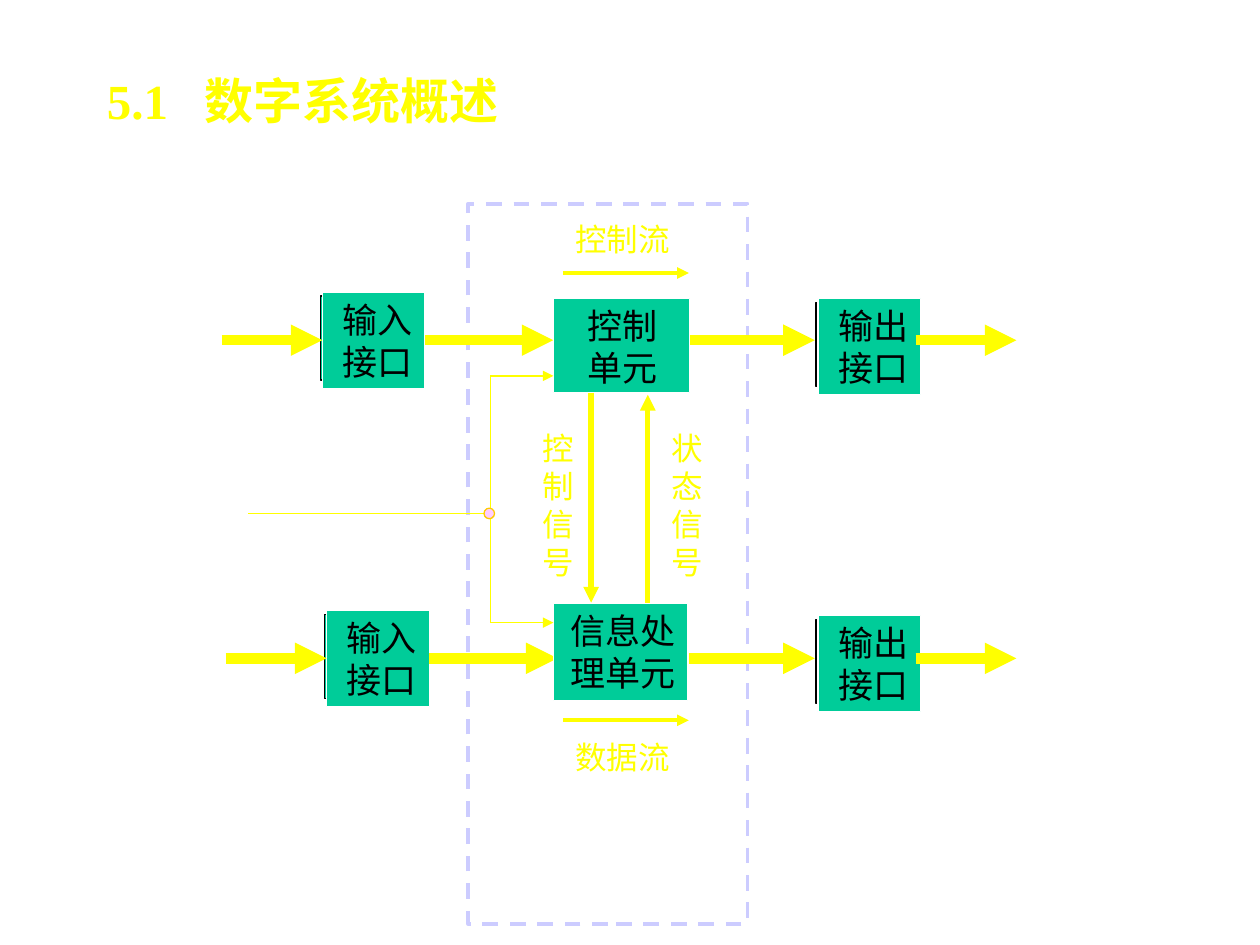
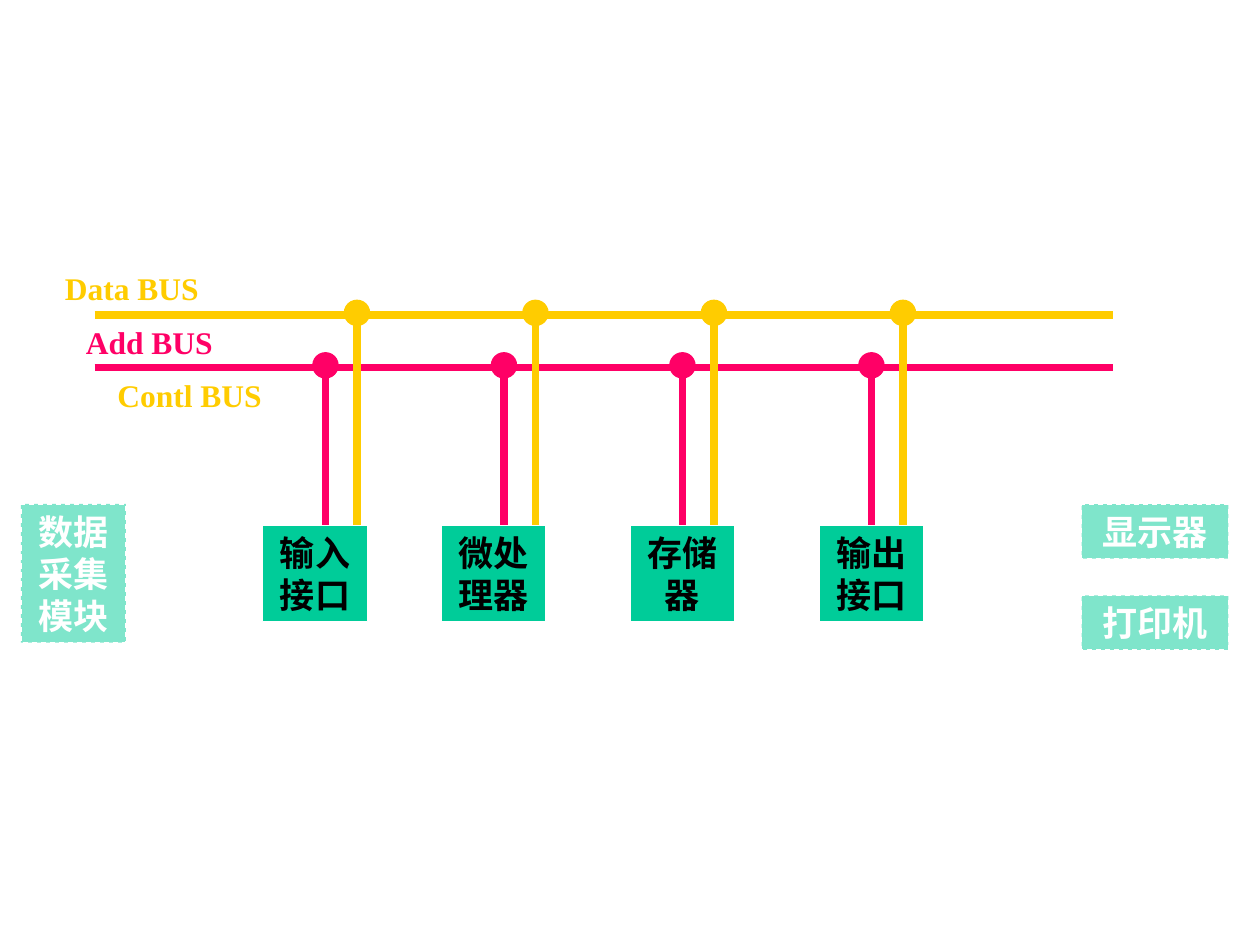
from lxml import etree
from pptx import Presentation
from pptx import util as u
from pptx.dml.color import RGBColor
from pptx.enum import dml, shapes, text
from pptx.oxml import ns

# Shared style
YELLOW = RGBColor(0xFF, 0xFF, 0x00)
GOLD = RGBColor(0xFF, 0xCC, 0x00)
GREEN = RGBColor(0x00, 0xCC, 0x99)
PINK = RGBColor(0xFF, 0x00, 0x66)
PALE_PINK = RGBColor(0xFF, 0xCC, 0xFF)
LAVENDER = RGBColor(0xCC, 0xCC, 0xFF)
BLACK = RGBColor(0x00, 0x00, 0x00)
WHITE = RGBColor(0xFF, 0xFF, 0xFF)
FONT = "Times New Roman"
LEFT, CENTER, RIGHT = text.PP_ALIGN.LEFT, text.PP_ALIGN.CENTER, text.PP_ALIGN.RIGHT
SIDE_LEFT, SIDE_RIGHT = 1, 3

# Grid: 120 columns by 90 rows of square cells
COLUMNS, ROWS = 120, 90
BLOCK_HEIGHT = 9.2
BLOCK_WIDTH = 10

TITLE = {"size": u.Pt(28), "bold": True}
BLOCK_FONT = {"size": u.Pt(20)}
BOLD_BLOCK = {"size": u.Pt(20), "bold": True}
LABEL = {"size": u.Pt(18)}
BOLD_LABEL = {"size": u.Pt(18), "bold": True}


class Deck:
    """Holds the presentation, its grid and the current slide."""

    def __init__(self):
        self.presentation = Presentation()
        self.presentation.slide_width = u.Inches(10)
        self.presentation.slide_height = u.Inches(7.5)
        self.slide = None

    def new_slide(self):
        self.slide = self.presentation.slides.add_slide(self.presentation.slide_layouts[6])

    def place(self, column, row):
        return (round(self.presentation.slide_width * column / COLUMNS),
                round(self.presentation.slide_height * row / ROWS))

    def set_words(self, shape, words, font, color, align=LEFT, anchor=text.MSO_ANCHOR.TOP, tab=None):
        frame = shape.text_frame
        frame.word_wrap = True
        frame.vertical_anchor = anchor
        frame.auto_size = text.MSO_AUTO_SIZE.SHAPE_TO_FIT_TEXT
        paragraph = frame.paragraphs[0]
        paragraph.text = words
        paragraph.alignment = align
        if tab:
            stops = etree.SubElement(paragraph._p.get_or_add_pPr(), ns.qn("a:tabLst"))
            etree.SubElement(stops, ns.qn("a:tab"), pos=str(self.place(tab, 0)[0]), algn="l")
        for name, value in {"name": FONT, **font}.items():
            setattr(paragraph.font, name, value)
        paragraph.font.color.rgb = color

    def label(self, left, top, width, height, words, font=LABEL, color=YELLOW, **options):
        shape = self.slide.shapes.add_textbox(*self.place(left, top), *self.place(width, height))
        self.set_words(shape, words, font, color, **options)

    def shape(self, kind, left, top, width, height, fill, outline, weight=0.75,
              dashed=False, opacity=None):
        shape = self.slide.shapes.add_shape(kind, *self.place(left, top), *self.place(width, height))
        shape.shadow.inherit = False
        if fill is None:
            shape.fill.background()
        else:
            shape.fill.solid()
            shape.fill.fore_color.rgb = fill
        if opacity:
            tint = shape._element.spPr.find(ns.qn("a:solidFill"))[0]
            etree.SubElement(tint, ns.qn("a:alpha"), val=str(opacity * 1000))
        shape.line.color.rgb = outline
        shape.line.width = u.Pt(weight)
        if dashed:
            shape.line.dash_style = dml.MSO_LINE.DASH
        return shape

    def block(self, left, top, width=BLOCK_WIDTH, height=BLOCK_HEIGHT, words="",
              font=BLOCK_FONT, color=BLACK, align=RIGHT, fill=GREEN, outline=WHITE, **options):
        shape = self.shape(shapes.MSO_SHAPE.RECTANGLE, left, top, width, height, fill, outline, **options)
        if words:
            self.set_words(shape, words, font, color, align)
        return shape

    def dot(self, column, row, size, fill, outline=None):
        self.shape(shapes.MSO_SHAPE.OVAL, column - size / 2, row - size / 2, size, size,
                   fill, outline or fill)

    def line(self, start, end, color=YELLOW, weight=4.5, arrow=False, source=None, target=None):
        connector = self.slide.shapes.add_connector(
            shapes.MSO_CONNECTOR.STRAIGHT, *self.place(*start), *self.place(*end))
        if source is not None:
            connector.begin_connect(source, SIDE_RIGHT)
        if target is not None:
            connector.end_connect(target, SIDE_LEFT)
        connector.line.color.rgb = color
        connector.line.width = u.Pt(weight)
        if arrow:
            outline = connector._element.spPr.find(ns.qn("a:ln"))
            etree.SubElement(outline, ns.qn("a:tailEnd"), type="triangle")
        etree.SubElement(connector._element.spPr, ns.qn("a:effectLst"))


def build_system_overview(deck):
    deck.new_slide()
    deck.label(9, 6.2, 68, 6.6, "5.1\t数字系统概述", TITLE,
               anchor=text.MSO_ANCHOR.MIDDLE, tab=9.3)

    def interface(left, top, words):
        deck.block(left - 0.2, top + 0.4, 9, 8, outline=BLACK)
        return deck.block(left, top, 9.8, words=words)

    # Frame around the two units
    deck.block(44.6, 19.4, 26.6, 68.6, fill=None, outline=LAVENDER, weight=2.25, dashed=True)

    # Interfaces and the wide arrows of each row
    for row, shift, output_top in ((32.4, 0, 28.4), (62.7, 0.4, 58.6)):
        source = interface(30.7 + shift, row - BLOCK_HEIGHT / 2, "输入接口")
        deck.line((21.1 + shift, row), (30.7 + shift, row), weight=6, arrow=True, target=source)
        deck.line((40.5 + shift, row), (52.7 + shift, row), weight=6, arrow=True, source=source)
        interface(77.9, output_top, "输出接口")
        for start, end in ((65.6, 77.6), (87.2, 96.8)):
            deck.line((start, row), (end, row), weight=6, arrow=True)

    # Control unit and processing unit
    deck.block(52.7, 28.4, 13, 9)
    deck.label(54.8, 28.4, BLOCK_WIDTH, BLOCK_HEIGHT, "控制单元", BLOCK_FONT, BLACK)
    deck.block(52.7, 57.5, 12.8, BLOCK_HEIGHT, "信息处理单元")

    # Signals between the units
    deck.line((56.3, 37.4), (56.3, 57.4), weight=3, arrow=True)
    deck.line((61.7, 57.4), (61.7, 37.6), weight=3, arrow=True)
    deck.label(50.5, 40.3, 5.5, 15.6, "控制信号")
    deck.label(62.8, 40.3, 4.8, 15.6, "状态信号")

    # Flow directions
    for words, label_top, arrow_row in (("控制流", 20.4, 26), ("数据流", 69.7, 68.6)):
        deck.label(53.6, label_top, 12, 4.8, words)
        deck.line((53.6, arrow_row), (65.6, arrow_row), weight=2.25, arrow=True)

    # Shared feed to both units
    feed, middle, ends = 46.7, 48.9, (35.8, 59.3)
    deck.line((23.6, middle), (feed, middle), weight=0.75)
    deck.line((feed, ends[0]), (feed, ends[1]), weight=0.75)
    for row in ends:
        deck.line((feed, row), (52.7, row), weight=0.75, arrow=True)
    deck.dot(46.6, middle, 1, PALE_PINK, GOLD)


def build_bus_structure(deck):
    deck.new_slide()
    buses = ((30, GOLD), (35, PINK), (40, WHITE))
    for row, color in buses:
        deck.line((9, row), (106, row), color)
    for left, top, width, words, color in ((5, 25, 21, "Data BUS", GOLD),
                                           (7, 30.2, 17, "Add BUS", PINK),
                                           (10, 35.2, 21, "Contl BUS", GOLD)):
        deck.label(left, top, width, 4.8, words, BOLD_LABEL, color)

    # Modules on the bus
    module_top = 50
    modules = [deck.block(left, module_top, words=words, font=BOLD_BLOCK, align=CENTER)
               for left, words in ((25, "输入接口"), (42, "微处理器"),
                                   (60, "存储器"), (78, "输出接口"))]

    # External devices
    acquisition, display, printer = [
        deck.block(left, top, width, height, words, BOLD_BLOCK, WHITE, CENTER,
                   dashed=True, opacity=50)
        for left, top, width, height, words in ((2, 48, 10, 13.2, "数据采集模块"),
                                                (103, 48, 14, 5.2, "显示器"),
                                                (103, 56.7, 14, 5.2, "打印机"))]

    # Taps: one line and one dot for each bus and module
    for tap in (28, 45, 62, 80):
        for (row, color), shift in zip(buses, (6, 3, 0)):
            deck.line((tap + shift, row), (tap + shift, module_top), color)
            deck.dot(tap + shift, row - 0.2, 2.4, color)

    # Links to the devices
    middle, branch = module_top + BLOCK_HEIGHT / 2, 96
    rows = (50.6, 59.3)
    deck.line((12, middle), (25, middle), WHITE, arrow=True, source=acquisition, target=modules[0])
    deck.line((88, middle), (95, middle), WHITE, source=modules[-1])
    deck.line((branch, rows[1]), (branch, rows[0]), WHITE)
    for row, device in zip(rows, (display, printer)):
        deck.line((branch, row), (103, row), WHITE, arrow=True, target=device)
    deck.dot(branch, middle, 2.4, WHITE)


def main():
    deck = Deck()
    build_system_overview(deck)
    build_bus_structure(deck)
    deck.presentation.save("out.pptx")


if __name__ == "__main__":
    main()
